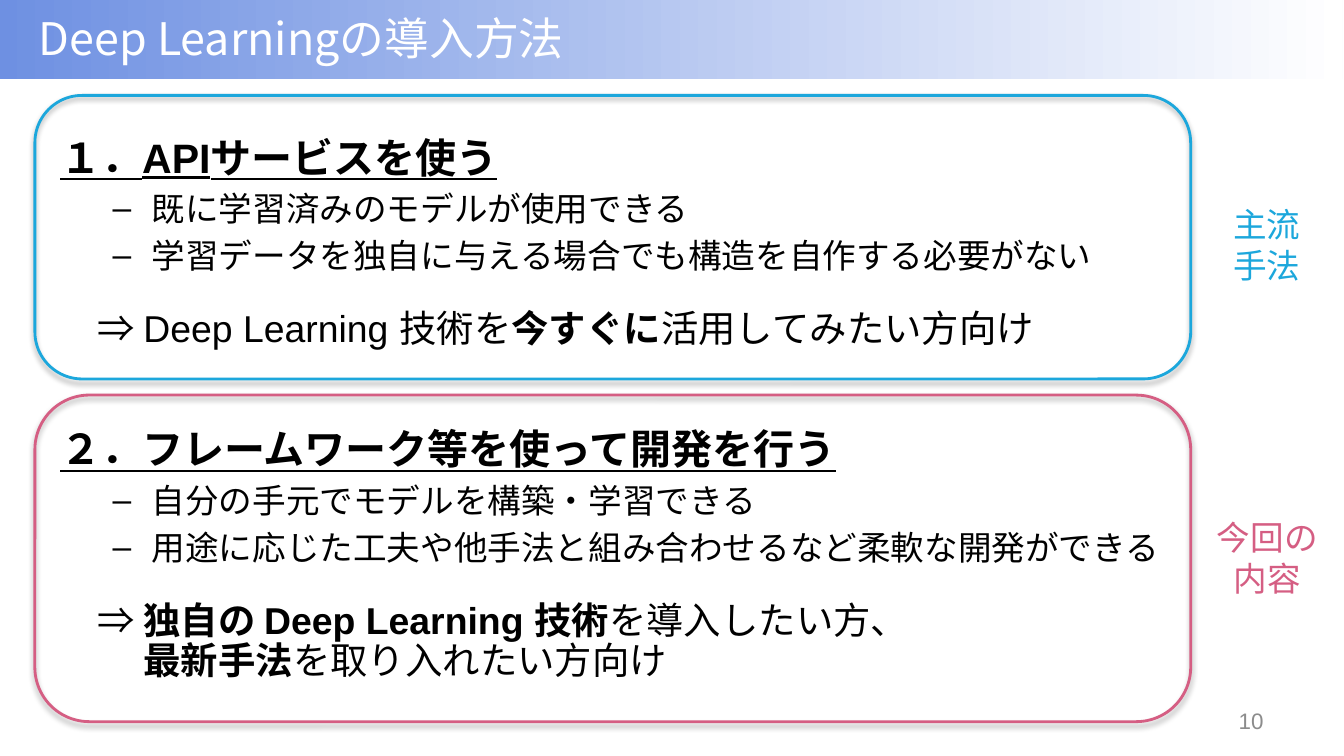
import lxml.etree
import pptx
import pptx.dml.color
import pptx.enum.shapes
import pptx.enum.text
import pptx.oxml.ns
import pptx.util

THEME = {
    "ink": "000000", "paper": "FFFFFF", "band": "6E90E2",
    "api": "1CA7DC", "own": "D55E83", "number": "8C8C8C",
    "title": 24, "heading": 22, "result": 20, "point": 18, "small": 12,
    "font": "Arial", "title_font": "Noto Sans CJK JP",
}
ALIGN = pptx.enum.text.PP_ALIGN
ANCHOR = pptx.enum.text.MSO_ANCHOR
SHAPE = pptx.enum.shapes.MSO_SHAPE
qn = pptx.oxml.ns.qn

prs = pptx.Presentation()
prs.slide_width = pptx.util.Inches(10)
prs.slide_height = prs.slide_width * 9 // 16
s = prs.slides.add_slide(prs.slide_layouts[6])
CELL = prs.slide_width / 100  # square grid, 100 columns by 56.25 rows


def grid(*cells):
    return [pptx.util.Emu(round(c * CELL)) for c in cells]


def write(p, runs, size, color, font=THEME["font"], **extra):
    """Add (text, bold) runs to a paragraph in one common format."""
    for text, bold in runs:
        r = p.add_run()
        r.text = text
        r.font.color.rgb = pptx.dml.color.RGBColor.from_string(THEME[color])
        look = {"name": font, "size": pptx.util.Pt(THEME[size]), "bold": bold, **extra}
        for name, value in look.items():
            setattr(r.font, name, value)


# Title band
band = s.shapes.add_shape(SHAPE.RECTANGLE, *grid(-0.1, 0, 100, 5.9))
band.shadow.inherit = False
band.line.fill.background()
band.fill.gradient()
band.fill.gradient_angle = 0
for stop, color in zip(band.fill.gradient_stops, ("band", "paper")):
    stop.color.rgb = pptx.dml.color.RGBColor.from_string(THEME[color])

# Both methods in one body text
# kind: margin left and indent (cells), line spacing, space before (share of size)
KINDS = {
    "heading": (0, 0, 1.5, 0.2),
    "next heading": (0, 0, 1.5, 1.2),
    "point": (6.8, -2.9, 1, 0.2),
    "result": (0, 0, 1.5, 0.2),
    "result end": (6.2, 0, 0.7, 0.2),
}
BODY = [
    ("heading", [("１．APIサービスを使う", True)]),
    ("point", [("既に学習済みのモデルが使用できる", False)]),
    ("point", [("学習データを独自に与える場合でも構造を自作する必要がない", False)]),
    ("result", [("　⇒ Deep Learning 技術を", False), ("今すぐに", True),
                ("活用してみたい方向け", False)]),
    ("next heading", [("２．フレームワーク等を使って開発を行う", True)]),
    ("point", [("自分の手元でモデルを構築・学習できる", False)]),
    ("point", [("用途に応じた工夫や他手法と組み合わせるなど柔軟な開発ができる", False)]),
    ("result", [("　⇒ ", False), ("独自の Deep Learning 技術", True),
                ("を導入したい方、", False)]),
    ("result end", [("最新手法", True), ("を取り入れたい方向け", False)]),
]
tf = s.shapes.add_textbox(*grid(3.5, 7.5, 93.1, 47.1)).text_frame
tf.word_wrap = True
for i, (kind, runs) in enumerate(BODY):
    p = tf.add_paragraph() if i else tf.paragraphs[0]
    size = kind.split()[-1] if kind != "result end" else "result"
    margin, indent, spacing, before = KINDS[kind]
    pPr = p._p.get_or_add_pPr()
    pPr.set("marL", str(round(margin * CELL)))
    pPr.set("indent", str(round(indent * CELL)))
    if kind == "point":
        p.level = 1
        lxml.etree.SubElement(pPr, qn("a:buFont"), typeface=THEME["font"])
        lxml.etree.SubElement(pPr, qn("a:buChar"), char="–")
    p.line_spacing = spacing
    if i:
        p.space_before = pptx.util.Pt(round(before * THEME[size], 1))
    write(p, runs, size, "ink", underline=size == "heading")

# Frames around the two methods
for color, top, height in (("api", 7.1, 21.1), ("own", 29.4, 24.3)):
    sp = s.shapes.add_shape(SHAPE.ROUNDED_RECTANGLE, *grid(2.6, top, 86, height))
    sp.fill.background()
    sp.line.color.rgb = pptx.dml.color.RGBColor.from_string(THEME[color])
    sp.line.width = pptx.util.Pt(1.5)
    sp.shadow.inherit = False
    shadow = lxml.etree.SubElement(
        sp._element.spPr.find(qn("a:effectLst")), qn("a:outerShdw"),
        blurRad=str(pptx.util.Pt(3.1)), dist=str(pptx.util.Pt(1.8)),
        dir="5400000", rotWithShape="0")
    tint = lxml.etree.SubElement(shadow, qn("a:srgbClr"), val=THEME["ink"])
    lxml.etree.SubElement(tint, qn("a:alpha"), val="35000")

# Title, side labels and page number
LABELS = [
    ((1.9, 0.2, 90, 5.2), ["Deep Learningの導入方法"], "title", "paper",
     THEME["title_font"], ALIGN.LEFT, ANCHOR.MIDDLE, True),
    ((90.7, 14.7, 7.1, 7.1), ["主流", "手法"], "point", "api",
     THEME["font"], ALIGN.CENTER, ANCHOR.TOP, False),
    ((89.5, 38, 9.6, 7.1), ["今回の", "内容"], "point", "own",
     THEME["font"], ALIGN.CENTER, ANCHOR.TOP, False),
    ((71.7, 52.1, 23.3, 3), ["10"], "small", "number",
     THEME["font"], ALIGN.RIGHT, ANCHOR.MIDDLE, True),
]
for box, lines, size, color, font, align, anchor, wrap in LABELS:
    tf = s.shapes.add_textbox(*grid(*box)).text_frame
    tf.word_wrap = wrap
    tf.vertical_anchor = anchor
    for i, line in enumerate(lines):
        p = tf.add_paragraph() if i else tf.paragraphs[0]
        p.alignment = align
        write(p, [(line, False)], size, color, font)

prs.save("out.pptx")
